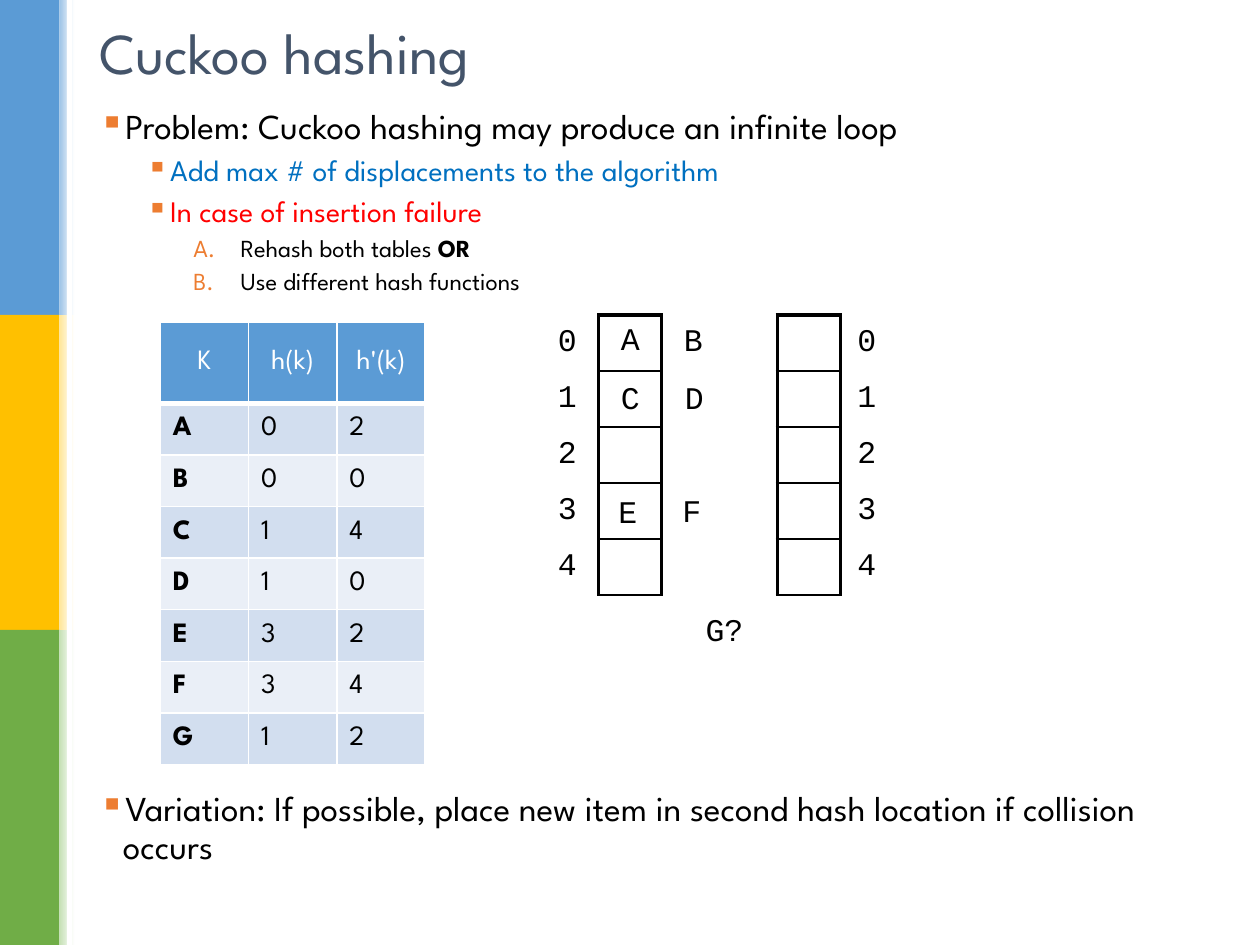
import dataclasses

import pptx
import pptx.dml.color
import pptx.enum.shapes
import pptx.enum.text
import pptx.oxml.ns
import pptx.util
from lxml import etree

Cm, Pt = pptx.util.Cm, pptx.util.Pt
RGB = pptx.dml.color.RGBColor.from_string
ALIGN = pptx.enum.text.PP_ALIGN
MIDDLE = pptx.enum.text.MSO_ANCHOR.MIDDLE
qn = pptx.oxml.ns.qn
NO_STYLE = "{2D5ABB26-0587-4C30-8999-92F81FD0307C}"


@dataclasses.dataclass(frozen=True)
class Theme:
    sans: str = "League Spartan"
    mono: str = "Courier New"
    black: str = "000000"
    white: str = "FFFFFF"
    title: str = "44546A"
    bullet: str = "ED7D31"
    blue: str = "0070C0"
    red: str = "FF0000"
    header: str = "5B9BD5"
    bands: tuple = ("D2DEEF", "EAEFF7")
    stripes: tuple = (("5B9BD5", "9DC3E6"), ("FFC000", "FFE699"), ("70AD47", "C5E0B4"))
    title_pt: float = 33
    level_pt: tuple = (20, 17, 14)
    key_pt: float = 16
    slot_pt: float = 18


T = Theme()


def apply(obj, values):
    for name, value in values.items():
        setattr(obj, name, value)


def add_run(p, text, size, color=T.black, font=T.sans, bold=False):
    r = p.add_run()
    r.text = text
    apply(r.font, {"size": Pt(size), "name": font, "bold": bold})
    r.font.color.rgb = RGB(color)


def add_box(s, x, y, w, h, **fmt):
    tf = s.shapes.add_textbox(Cm(x), Cm(y), Cm(w), Cm(h)).text_frame
    apply(tf, {"word_wrap": True, **fmt})
    return tf


def add_bar(s, x, y, w, h, color, fade_to=None):
    sp = s.shapes.add_shape(pptx.enum.shapes.MSO_SHAPE.RECTANGLE, Cm(x), Cm(y), Cm(w), Cm(h))
    sp.shadow.inherit = False
    sp.line.fill.background()
    if fade_to is None:
        sp.fill.solid()
        sp.fill.fore_color.rgb = RGB(color)
    else:
        sp.fill.gradient()
        sp.fill.gradient_angle = 0
        for stop, rgb in zip(sp.fill.gradient_stops, (color, fade_to)):
            stop.color.rgb = RGB(rgb)


def add_grid(s, x, y, widths, heights):
    shape = s.shapes.add_table(len(heights), len(widths), Cm(x), Cm(y),
                               Cm(sum(widths)), Cm(sum(heights)))
    tbl = shape.table
    apply(tbl, {"first_row": False, "horz_banding": False})
    shape._element.find(".//" + qn("a:tableStyleId")).text = NO_STYLE
    for col, w in zip(tbl.columns, widths):
        col.width = Cm(w)
    for row, h in zip(tbl.rows, heights):
        row.height = Cm(h)
    return tbl


def set_borders(cell, color, **widths):
    """Side widths in points, given in the order L, R, T, B."""
    tc_pr = cell._tc.get_or_add_tcPr()
    for side, width in widths.items():
        ln = etree.SubElement(tc_pr, qn("a:ln" + side), w=str(Pt(width)))
        fill = etree.SubElement(ln, qn("a:solidFill"))
        etree.SubElement(fill, qn("a:srgbClr"), val=color)


def fill_cell(cell, text, fill=None, align=ALIGN.LEFT, **fmt):
    cell.vertical_anchor = MIDDLE
    if fill:
        cell.fill.solid()
        cell.fill.fore_color.rgb = RGB(fill)
    else:
        cell.fill.background()
    p = cell.text_frame.paragraphs[0]
    p.alignment = align
    add_run(p, text, **fmt)


# Coloured band down the left edge
def side_band(s, x, y, h):
    part = h / len(T.stripes)
    for i, (solid, pale) in enumerate(T.stripes):
        add_bar(s, x, y + i * part, 1.2, part, solid)
        add_bar(s, x + 1.2, y + i * part, 0.3, part, pale, T.white)
    add_bar(s, x + 1.35, y, 0.1, h, T.white)


def title(s, x, y, w, h, text):
    tf = add_box(s, x, y, w, h, vertical_anchor=MIDDLE)
    add_run(tf.paragraphs[0], text, T.title_pt, T.title)


# Bulleted text: each item is (level, [(text, run format), ...])
def bullet_list(s, x, y, w, h, items):
    margins, hangs = (0.48, 1.43, 2.85), (0.48, 0.48, 0.95)
    tf = add_box(s, x, y, w, h)
    for i, (level, runs) in enumerate(items):
        p = tf.add_paragraph() if i else tf.paragraphs[0]
        size = T.level_pt[level]
        apply(p, {"level": level, "line_spacing": 0.9,
                  "space_before": Pt(round(0.3 * size) if i else 0)})
        p_pr = p._p.get_or_add_pPr()
        p_pr.set("marL", str(Cm(margins[level])))
        p_pr.set("indent", str(-Cm(hangs[level])))
        color = etree.SubElement(p_pr, qn("a:buClr"))
        etree.SubElement(color, qn("a:srgbClr"), val=T.bullet)
        if level == 2:
            etree.SubElement(p_pr, qn("a:buAutoNum"), type="alphaUcPeriod")
        else:
            etree.SubElement(p_pr, qn("a:buChar"), char="▪")
        for text, fmt in runs:
            add_run(p, text, size, **fmt)


# Keys with their two hash values
def key_table(s, x, y, header, rows):
    tbl = add_grid(s, x, y, [1.78] * 3, [1.63] + [1.04] * len(rows))
    for r, values in enumerate([header, *rows]):
        for c, text in enumerate(values):
            cell = tbl.cell(r, c)
            set_borders(cell, T.white, L=1, R=1, T=3 if r == 1 else 1, B=1 if r else 3)
            if r == 0:
                fill_cell(cell, text, T.header, ALIGN.CENTER, size=T.key_pt, color=T.white)
            else:
                fill_cell(cell, text, T.bands[(r - 1) % 2], size=T.key_pt, bold=c == 0)


# Column of slots, with the slot numbers dx to the side
def hash_table(s, x, y, dx, count=5, w=1.27, row_h=1.13):
    slots = add_grid(s, x, y, [w], [row_h] * count)
    numbers = add_grid(s, x + dx, y, [w], [row_h] * count)
    for i in range(count):
        set_borders(slots.cell(i, 0), T.black, L=2.25, R=2.25, T=1 if i else 2.25, B=1)
        fill_cell(numbers.cell(i, 0), str(i), align=ALIGN.CENTER, size=T.slot_pt, font=T.mono)


# Keys in and beside the slots: (key, offset right, offset down)
def placed_keys(s, x, y, keys):
    for key, dx, dy in keys:
        tf = add_box(s, x + dx, y + dy, 1.27, 1.07, margin_left=0, margin_right=0)
        tf.paragraphs[0].alignment = ALIGN.CENTER
        add_run(tf.paragraphs[0], key, T.slot_pt, font=T.mono)


def main():
    prs = pptx.Presentation()
    apply(prs, {"slide_width": Cm(25.4), "slide_height": Cm(19.05)})
    s = prs.slides.add_slide(prs.slide_layouts[6])
    left, width = 1.75, 21.9

    side_band(s, 0, 0, 19.05)
    title(s, left, 0.2, width, 1.68, "Cuckoo hashing")
    bullet_list(s, left, 2.08, width, 4.2, [
        (0, [("Problem: Cuckoo hashing may produce an infinite loop", {})]),
        (1, [("Add max # of displacements to the algorithm", {"color": T.blue})]),
        (1, [("In case of insertion failure", {"color": T.red})]),
        (2, [("Rehash both tables ", {}), ("OR", {"bold": True})]),
        (2, [("Use different hash functions", {})]),
    ])
    key_table(s, 3.23, 6.5, ("K", "h(k)", "h'(k)"),
              ["A02", "B00", "C14", "D10", "E32", "F34", "G12"])
    hash_table(s, 12.07, 6.35, dx=-1.27)
    hash_table(s, 15.67, 6.35, dx=1.17)
    placed_keys(s, 12.07, 6.35, [
        ("A", 0, -0.05), ("B", 1.27, -0.03), ("C", 0, 1.14), ("D", 1.29, 1.14),
        ("E", -0.05, 3.45), ("F", 1.24, 3.43), ("G?", 1.9, 5.82),
    ])
    bullet_list(s, left, 15.83, width, 2.2, [
        (0, [("Variation: If possible, place new item in second hash location "
              "if collision occurs", {})]),
    ])
    prs.save("out.pptx")


if __name__ == "__main__":
    main()
